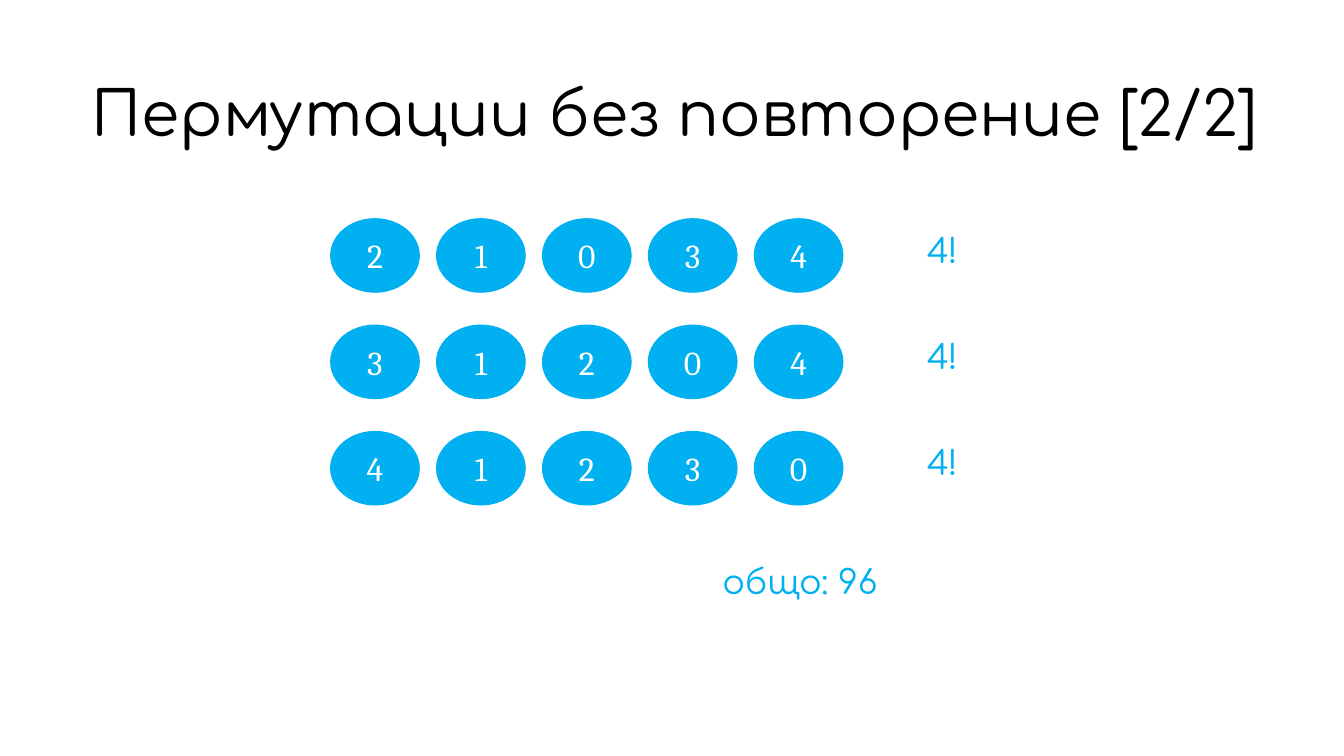
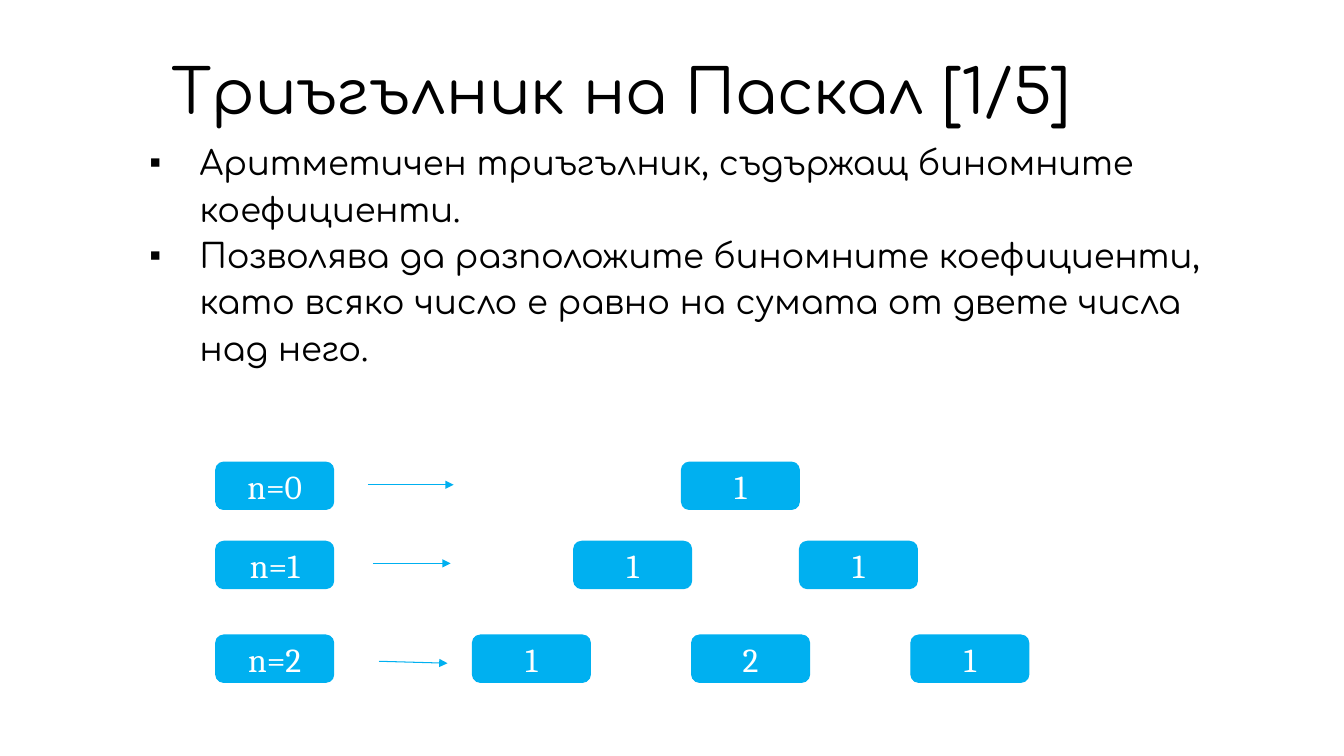
from collections import namedtuple
from math import comb

from lxml.etree import SubElement
from pptx import Presentation
from pptx.dml.color import RGBColor
from pptx.enum.shapes import MSO_CONNECTOR, MSO_SHAPE
from pptx.enum.text import MSO_ANCHOR, MSO_AUTO_SIZE, PP_ALIGN
from pptx.oxml.ns import qn
from pptx.util import Inches, Pt

SLIDE_WIDTH, SLIDE_HEIGHT = Inches(13.33), Inches(7.5)
COLUMN, ROW = SLIDE_WIDTH / 100, SLIDE_HEIGHT / 100
COLORS = {"accent": "00B0F0", "ink": "000000", "paper": "FFFFFF"}
HEADING_FONT, NUMBER_FONT = "Comfortaa", "Cambria"
PLACEHOLDER_INSETS = (0.12, 0.04, 0.12, 0.04)
TOKEN_INSETS = (0.13, 0.13, 0.13, 0.13)
TEXT_INSETS = (0.1, 0.05, 0.1, 0.05)


class Box(namedtuple("Box", "left top width height")):
    def inner(self, left, top, width, height):
        return Box(self.left + left, self.top + top, width, height)

    def emu(self):
        return (round(self.left * COLUMN), round(self.top * ROW),
                round(self.width * COLUMN), round(self.height * ROW))


def color(key):
    return RGBColor.from_string(COLORS[key])


def place(placeholder, box):
    placeholder.left, placeholder.top, placeholder.width, placeholder.height = box.emu()


def add_bullet(paragraph, symbol):
    properties = paragraph._p.get_or_add_pPr()
    properties.set("marL", str(Inches(0.67)))
    properties.set("indent", str(-Inches(0.5)))
    SubElement(properties, qn("a:buChar")).set("char", symbol)


def write(frame, text, font=HEADING_FONT, size=24, ink="accent", align=PP_ALIGN.CENTER,
          anchor=MSO_ANCHOR.TOP, insets=TEXT_INSETS, spacing=1.0, bullet=None):
    frame.text = text
    frame.word_wrap = True
    frame.auto_size = MSO_AUTO_SIZE.NONE
    frame.vertical_anchor = anchor
    (frame.margin_left, frame.margin_top,
     frame.margin_right, frame.margin_bottom) = map(Inches, insets)
    for paragraph in frame.paragraphs:
        if bullet:
            add_bullet(paragraph, bullet)
        paragraph.alignment = align
        paragraph.line_spacing = spacing
        paragraph.space_before = Pt(0)
        for run in paragraph.runs:
            run.font.name = font
            run.font.size = Pt(size)
            run.font.color.rgb = color(ink)


def add_heading(slide, text, box, align=PP_ALIGN.LEFT):
    place(slide.shapes.title, box)
    write(slide.shapes.title.text_frame, text, size=44, ink="ink", align=align,
          anchor=MSO_ANCHOR.MIDDLE, insets=PLACEHOLDER_INSETS, spacing=0.9)


def add_token(slide, outline, text, box):
    token = slide.shapes.add_shape(outline, *box.emu())
    token.shadow.inherit = False
    token.fill.solid()
    token.fill.fore_color.rgb = color("accent")
    token.line.color.rgb = color("accent")
    token.line.width = Pt(0.75)
    write(token.text_frame, text, font=NUMBER_FONT, ink="paper",
          anchor=MSO_ANCHOR.MIDDLE, insets=TOKEN_INSETS)


def add_caption(slide, text, box):
    write(slide.shapes.add_textbox(*box.emu()).text_frame, text)


def add_arrow(slide, box):
    left, top, width, height = box.emu()
    arrow = slide.shapes.add_connector(
        MSO_CONNECTOR.STRAIGHT, left, top, left + width, top + height)
    arrow.line.color.rgb = color("accent")
    arrow.line.width = Pt(0.75)
    SubElement(arrow.line._get_or_add_ln(), qn("a:tailEnd")).set("type", "triangle")
    SubElement(arrow._element.spPr, qn("a:effectLst"))


def add_permutations(slide, board, permutations, count):
    for row, permutation in enumerate(permutations):
        for column, digit in enumerate(permutation):
            add_token(slide, MSO_SHAPE.OVAL, digit,
                      board.inner(7.88 * column, 14.07 * row, 6.6, 9.73))
        add_caption(slide, count, board.inner(42.75, 0.8 + 14 * row, 5.55, 8.13))


def add_triangle(slide, panel):
    width, height = 8.78, 6.27
    tops = (0, 10.47, 22.87)
    pitches = (0, 16.8, 16.31)
    arrows = ((11.33, 3, 6.37, 0), (11.7, 2.93, 5.78, 0), (12.15, 3.47, 5.1, 0.26))
    for n, (top, pitch, arrow) in enumerate(zip(tops, pitches, arrows)):
        level = panel.inner(0, top, panel.width, height)
        add_token(slide, MSO_SHAPE.ROUNDED_RECTANGLE, f"n={n}",
                  level.inner(0, 0, width, height))
        add_arrow(slide, level.inner(*arrow))
        first = 34.65 + 0.38 * n - pitch * n / 2
        for k in range(n + 1):
            add_token(slide, MSO_SHAPE.ROUNDED_RECTANGLE, str(comb(n, k)),
                      level.inner(first + pitch * k, 0, width, height))


def build_permutation_slide(deck):
    slide = deck.slides.add_slide(deck.slide_layouts[5])
    add_heading(slide, "Пермутации без повторение [2/2]", Box(5.93, 9.07, 89.5, 12.8))
    add_permutations(slide, Box(24.6, 28.93, 48.3, 37.87), ("21034", "31204", "41230"), "4!")
    add_caption(slide, "общо: 96", Box(45.45, 73.6, 28.13, 10.93))


def build_pascal_slide(deck):
    slide = deck.slides.add_slide(deck.slide_layouts[1])
    add_heading(slide, "Триъгълник на Паскал [1/5]", Box(11.85, 6.93, 77.55, 11.2),
                align=PP_ALIGN.JUSTIFY)
    definition = slide.placeholders[1]
    place(definition, Box(8.93, 17.47, 83.55, 36.8))
    write(definition.text_frame,
          "Аритметичен триъгълник, съдържащ биномните коефициенти.\n"
          "Позволява да разположите биномните коефициенти, като всяко число "
          "е равно на сумата от двете числа над него.",
          ink="ink", align=PP_ALIGN.LEFT, insets=PLACEHOLDER_INSETS, spacing=1.15, bullet="▪")
    add_triangle(slide, Box(16.05, 61.13, 60.53, 29.14))


def main():
    deck = Presentation()
    deck.slide_width, deck.slide_height = SLIDE_WIDTH, SLIDE_HEIGHT
    build_permutation_slide(deck)
    build_pascal_slide(deck)
    deck.save("out.pptx")


if __name__ == "__main__":
    main()
